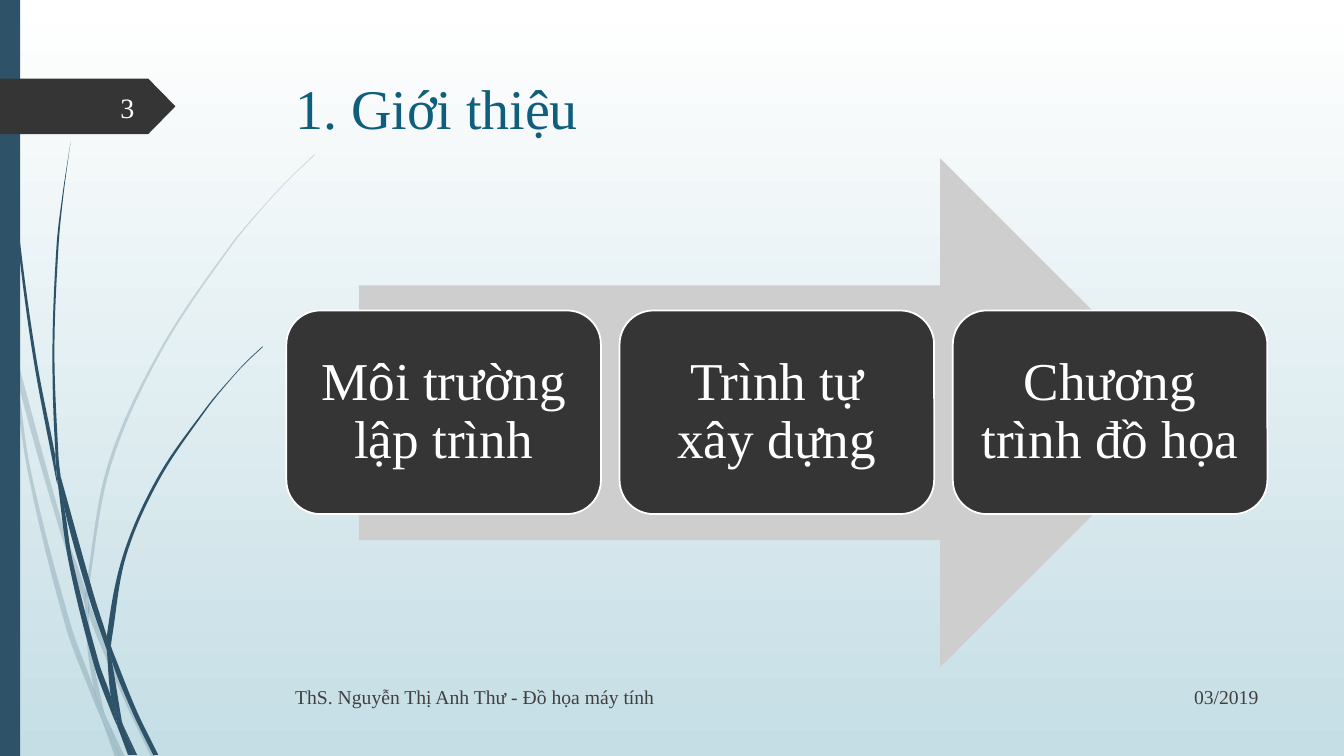
import math

from lxml import etree
from pptx import Presentation
from pptx import util as u
from pptx.dml.color import RGBColor
from pptx.enum import shapes, text
from pptx.oxml import ns

WIDTH, HEIGHT = 13.33, 7.5
FONT = "Times New Roman"
NAVY, CHARCOAL, WHITE, GREY = "2E5369", "353535", "FFFFFF", "404040"

# Content grid: three equal columns with one gap
LEFT, COLUMN, GAP = 2.84, 3.12, 0.185
CARD_TOP, CARD_HEIGHT = 3.08, 2.02
STEPS = ["Môi trường lập trình", "Trình tự xây dựng", "Chương trình đồ họa"]

# Grass: knots of each closed, curved piece
FAINT_GRASS = [
    [(.11, 3.5), (.09, 3.22), (0, 2.82), (0, 2.99), (.1, 3.44)],
    [(.58, 5.22), (.84, 5.99), (.85, 5.86), (.62, 5.2), (.14, 3.45), (.17, 3.76)],
    [(.92, 6.07), (.88, 5.96), (.88, 6.1), (1.23, 6.94), (1.5, 7.51), (1.55, 7.51),
     (1.27, 6.92)],
    [(1.19, 7.51), (1.24, 7.51), (1.05, 7.11)],
    [(.93, 6.83), (.7, 6.19), (.31, 4.69), (.17, 3.76), (.11, 3.5), (.28, 4.7),
     (.65, 6.21), (.92, 6.93), (1.01, 7.14), (.99, 7.07)],
    [(.84, 5.99), (.87, 6.46), (.93, 6.83), (.96, 6.92), (1.05, 7.11), (1.03, 7.06),
     (.91, 6.46), (.88, 6.1), (.88, 6.08)],
    [(.88, 5.84), (1.1, 4.62), (1.6, 3.49), (2.29, 2.45), (2.68, 1.98), (2.9, 1.75),
     (3.12, 1.54), (3.12, 1.53), (2.89, 1.75), (2.68, 1.97), (2.28, 2.44),
     (1.58, 3.48), (1.07, 4.61), (.85, 5.84), (.85, 5.86), (.88, 5.96)],
    [(1.01, 7.14), (1.14, 7.51), (1.19, 7.51)],
    [(.88, 6.08), (.88, 6.1), (.88, 5.96), (.85, 5.86), (.84, 5.99)],
    [(.96, 6.92), (.93, 6.83), (.99, 7.07), (1.01, 7.14), (1.19, 7.51), (1.05, 7.11)],
]
DARK_GRASS = [
    [(.07, 1.1), (.17, 2.33), (.33, 3.55), (.56, 4.77), (.57, 4.81), (.55, 4.57),
     (.55, 4.53), (.36, 3.55), (.19, 2.32), (.08, 1.09), (.05, .48), (.04, 0),
     (.03, 0), (.04, .48)],
    [(.88, 5.92), (1.06, 6.45), (1.06, 6.33), (1.06, 6.31), (.93, 5.9), (.6, 4.72),
     (.64, 5.05)],
    [(1.13, 6.49), (1.1, 6.41), (1.11, 6.56), (1.32, 7.08), (1.52, 7.49),
     (1.57, 7.49), (1.36, 7.06)],
    [(1.1, 6.91), (.98, 6.57), (.72, 5.56), (.64, 5.05), (.57, 4.77), (.68, 5.57),
     (.93, 6.59), (1.11, 7.08), (1.17, 7.22), (1.16, 7.17)],
    [(.6, 4.72), (.58, 4.53), (.54, 3.49), (.58, 2.45), (.63, 1.93), (.7, 1.41),
     (.62, 1.93), (.56, 2.45), (.52, 3.49), (.55, 4.49)],
    [(1.33, 7.49), (1.36, 7.49), (1.22, 7.19)],
    [(.57, 4.77), (.64, 5.05), (.6, 4.72), (.55, 4.49), (.55, 4.53)],
    [(1.11, 6.33), (1.25, 5.52), (1.58, 4.76), (2.05, 4.06), (2.31, 3.74),
     (2.45, 3.59), (2.61, 3.44), (2.6, 3.44), (2.45, 3.58), (2.31, 3.73),
     (2.04, 4.05), (1.56, 4.74), (1.22, 5.51), (1.06, 6.31), (1.1, 6.41)],
    [(1.17, 7.22), (1.27, 7.49), (1.31, 7.49)],
    [(1.06, 6.45), (1.1, 6.91), (1.16, 7.06), (1.22, 7.19), (1.21, 7.16),
     (1.11, 6.56), (1.09, 6.51)],
    [(1.06, 6.45), (1.09, 6.51), (1.11, 6.56), (1.1, 6.41), (1.06, 6.31),
     (1.06, 6.33)],
    [(1.16, 7.06), (1.1, 6.91), (1.16, 7.17), (1.17, 7.22), (1.3, 7.49),
     (1.33, 7.49), (1.22, 7.19)],
]


def rgb(code):
    return RGBColor.from_string(code)


def paint(part, fill, line=None):
    part.shadow.inherit = False
    part.fill.solid()
    part.fill.fore_color.rgb = rgb(fill)
    if line:
        part.line.color.rgb = rgb(line)
        part.line.width = u.Pt(1.25)
    else:
        part.line.fill.background()


def add_block(slide, kind, box, fill, line=None):
    block = slide.shapes.add_shape(kind, *map(u.Inches, box))
    paint(block, fill, line)
    return block


def write(holder, words, size, color, align=text.PP_ALIGN.LEFT):
    frame = holder.text_frame
    frame.word_wrap = True
    frame.vertical_anchor = text.MSO_ANCHOR.MIDDLE
    paragraph = frame.paragraphs[0]
    paragraph.alignment = align
    run = paragraph.add_run()
    run.text = words
    run.font.name, run.font.size = FONT, u.Pt(size)
    run.font.color.rgb = rgb(color)
    return frame


def add_label(slide, box, *style):
    write(slide.shapes.add_textbox(*map(u.Inches, box)), *style)


def handle(before, knot, after):
    """Control point from knot towards after; a sharp corner stays sharp."""
    reach = math.dist(knot, after) / 3
    incoming = math.atan2(knot[1] - before[1], knot[0] - before[0])
    outgoing = math.atan2(after[1] - knot[1], after[0] - knot[0])
    if math.cos(outgoing - incoming) > 0.75:
        outgoing = math.atan2(after[1] - before[1], after[0] - before[0])
    return (knot[0] + reach * math.cos(outgoing), knot[1] + reach * math.sin(outgoing))


def add_grass(slide, knots, opacity=None):
    points = [(u.Inches(x), u.Inches(y)) for x, y in knots]
    builder = slide.shapes.build_freeform(*points[0])
    builder.add_line_segments(points[1:] + points[:1], close=True)
    grass = builder.convert_to_shape()
    paint(grass, NAVY)
    # Bend each side into a cubic curve
    sides = list(grass._element.iter(ns.qn("a:lnTo")))
    for i, side in enumerate(sides):
        a, b, c, d = (knots[(i + k) % len(knots)] for k in (-1, 0, 1, 2))
        side.tag = ns.qn("a:cubicBezTo")
        for place, (x, y) in enumerate((handle(a, b, c), handle(d, c, b))):
            control = etree.Element(ns.qn("a:pt"), x=str(u.Inches(x) - grass.left),
                                    y=str(u.Inches(y) - grass.top))
            side.insert(place, control)
    if opacity:
        tint = grass.fill._xPr.find(".//" + ns.qn("a:srgbClr"))
        etree.SubElement(tint, ns.qn("a:alpha"), val=str(opacity * 1000))


def add_backdrop(slide):
    fill = slide.background.fill
    fill.gradient()
    fill.gradient_angle = 270
    for stop, color, place in zip(fill.gradient_stops, (WHITE, "C5DEE5"), (0, 1)):
        stop.color.rgb = rgb(color)
        stop.position = place


def add_card(slide, column, words):
    left = LEFT + column * (COLUMN + GAP)
    card = add_block(slide, shapes.MSO_SHAPE.ROUNDED_RECTANGLE,
                     (left, CARD_TOP, COLUMN, CARD_HEIGHT), CHARCOAL, WHITE)
    frame = write(card, words, 38, WHITE, text.PP_ALIGN.CENTER)
    frame.margin_left = frame.margin_right = u.Inches(0.16)
    frame.margin_top = frame.margin_bottom = u.Inches(0.16)
    frame.paragraphs[0].line_spacing = 0.9


def main():
    deck = Presentation()
    deck.slide_width, deck.slide_height = u.Inches(WIDTH), u.Inches(HEIGHT)
    slide = deck.slides.add_slide(deck.slide_layouts[6])

    # Background and grass
    add_backdrop(slide)
    for knots in FAINT_GRASS:
        add_grass(slide, knots, opacity=20)
    for knots in DARK_GRASS:
        add_grass(slide, knots)

    # Side bar and page tag
    add_block(slide, shapes.MSO_SHAPE.RECTANGLE, (0, 0, 0.2, HEIGHT), NAVY)
    tag = add_block(slide, shapes.MSO_SHAPE.PENTAGON, (0, 0.78, 1.74, 0.55), CHARCOAL)
    tag.adjustments[0] = 0.49

    # Title
    add_label(slide, (2.83, 0.66, 9.75, 0.81), "1. Giới thiệu", 40, "0F5E7C",
              text.PP_ALIGN.JUSTIFY)

    # Process arrow and its steps
    add_block(slide, shapes.MSO_SHAPE.RIGHT_ARROW, (3.56, 1.57, 8.29, 5.05), "CECECE")
    for column, words in enumerate(STEPS):
        add_card(slide, column, words)

    # Footer and page number
    add_label(slide, (11.33, 6.71, 1.25, 0.41), "03/2019", 14, GREY,
              text.PP_ALIGN.RIGHT)
    add_label(slide, (2.83, 6.71, 8.33, 0.4),
              "ThS. Nguyễn Thị Anh Thư - Đồ họa máy tính", 14, GREY)
    add_label(slide, (0.58, 0.86, 0.85, 0.4), "3", 20, "FEFFFF", text.PP_ALIGN.RIGHT)

    deck.save("out.pptx")


if __name__ == "__main__":
    main()
